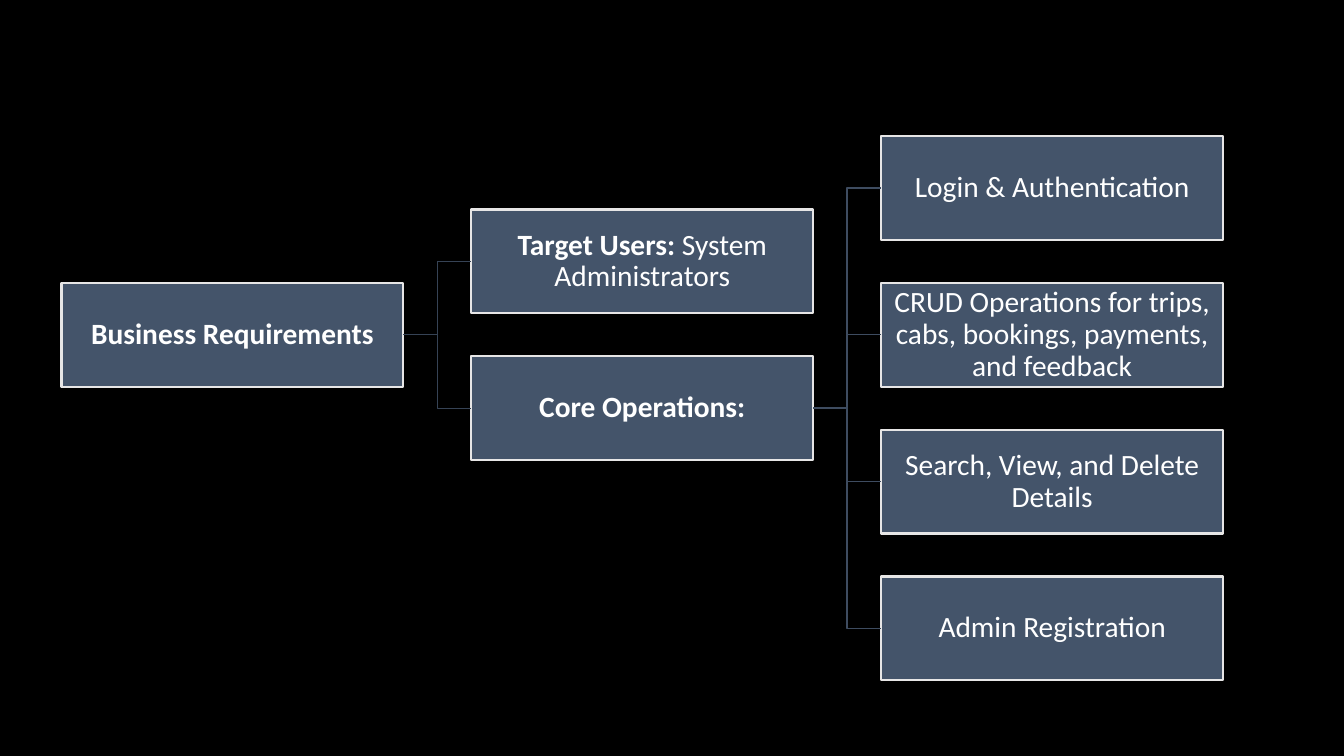
import pptx
import pptx.dml.color
import pptx.enum.shapes
import pptx.enum.text
import pptx.oxml.ns
import pptx.util
from lxml import etree

Inches = pptx.util.Inches
Pt = pptx.util.Pt

# Grid of the tree: columns are levels, rows may be halves
LEFT, TOP = 0.61, 1.35
COL_STEP, ROW_STEP = (8.74 - LEFT) / 2, (5.72 - TOP) / 3
BOX_W, BOX_H = 3.39, 1.03


def color(value):
    return pptx.dml.color.RGBColor.from_string(value)


def add_text(p, text, size=21, bold=False, fill="FFFFFF", font="Calibri"):
    r = p.add_run()
    r.text = text
    r.font.name = font
    r.font.size = Pt(size)
    r.font.bold = bold
    r.font.color.rgb = color(fill)


def add_box(s, col, row, label="", detail=""):
    """Box with a bold label followed by a regular detail."""
    sp = s.shapes.add_shape(
        pptx.enum.shapes.MSO_SHAPE.RECTANGLE,
        Inches(LEFT + col * COL_STEP), Inches(TOP + row * ROW_STEP),
        Inches(BOX_W), Inches(BOX_H))
    sp.shadow.inherit = False
    sp.fill.solid()
    sp.fill.fore_color.rgb = color("44546A")
    sp.line.color.rgb = color("E7E6E6")
    sp.line.width = Pt(1.5)
    tf = sp.text_frame
    tf.word_wrap = True
    tf.vertical_anchor = pptx.enum.text.MSO_ANCHOR.MIDDLE
    tf.margin_left = tf.margin_right = Inches(0.01)
    tf.margin_top = tf.margin_bottom = Inches(0.01)
    p = tf.paragraphs[0]
    p.alignment = pptx.enum.text.PP_ALIGN.CENTER
    p.line_spacing = 0.9
    if label:
        add_text(p, label, bold=True)
    if detail:
        add_text(p, detail)
    return sp


def add_branch(s, parent, child, line):
    """Elbow from the parent's right side to the child's left side."""
    c = s.shapes.add_connector(
        pptx.enum.shapes.MSO_CONNECTOR.ELBOW, 0, 0, 0, 0)
    c.begin_connect(parent, 3)
    c.end_connect(child, 1)
    c.line.color.rgb = color(line)
    c.line.width = Pt(1)
    etree.SubElement(c.element.spPr, pptx.oxml.ns.qn("a:effectLst"))


def main():
    prs = pptx.Presentation()
    prs.slide_width, prs.slide_height = Inches(13.33), Inches(7.5)
    s = prs.slides.add_slide(prs.slide_layouts[6])
    s.background.fill.solid()
    s.background.fill.fore_color.rgb = color("000000")

    # Root and its two topics
    root = add_box(s, 0, 1, "Business Requirements")
    users = add_box(s, 1, 0.5, "Target Users:", " System Administrators")
    core = add_box(s, 1, 1.5, "Core Operations:")
    for topic in (users, core):
        add_branch(s, root, topic, "364355")

    # Core operations
    operations = [
        "Login & Authentication",
        "CRUD Operations for trips, cabs, bookings, payments, and feedback",
        "Search, View, and Delete Details",
        "Admin Registration",
    ]
    for row, operation in enumerate(operations):
        add_branch(s, core, add_box(s, 2, row, detail=operation), "3E4C60")

    prs.save("out.pptx")


if __name__ == "__main__":
    main()
